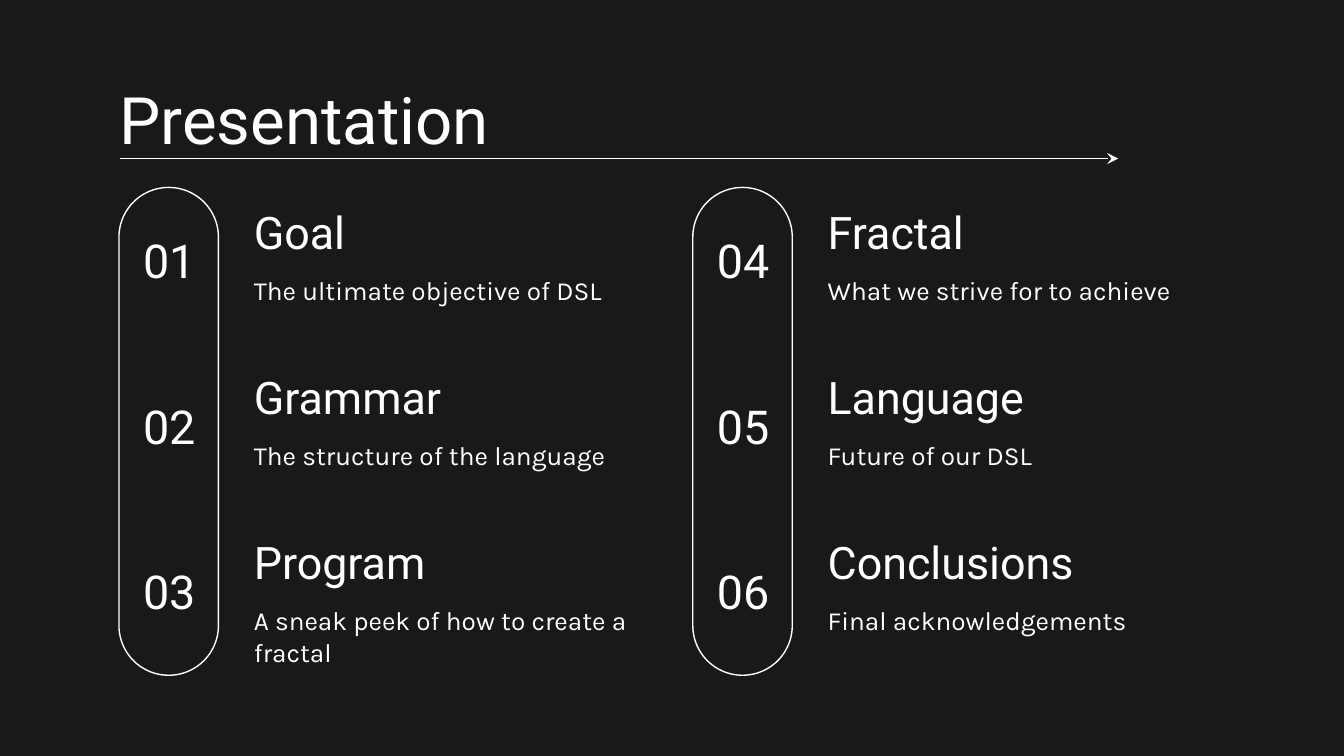
import pptx
import pptx.util
import pptx.dml.color
import pptx.enum.shapes
import pptx.enum.text
import pptx.oxml.ns
import lxml.etree

Inches = pptx.util.Inches
Align = pptx.enum.text.PP_ALIGN
Anchor = pptx.enum.text.MSO_ANCHOR
WHITE = "FFFFFF"
BACKGROUND = "191919"
LEFT, COLUMN = 0.79, 4.27
TOP, ROW = 1.39, 1.23
PILL_LENGTH, PILL_WIDTH = 3.63, 0.74


def paint(color_format, hex_color):
    color_format.rgb = pptx.dml.color.RGBColor.from_string(hex_color)


def write(left, top, width, height, words, size, font, anchor=Anchor.TOP, align=Align.LEFT):
    box = slide.shapes.add_textbox(Inches(left), Inches(top), Inches(width), Inches(height))
    frame = box.text_frame
    frame.word_wrap = True
    frame.vertical_anchor = anchor
    frame.margin_left = frame.margin_right = Inches(0.1)
    frame.margin_top = frame.margin_bottom = Inches(0.1)
    paragraph = frame.paragraphs[0]
    paragraph.alignment = align
    run = paragraph.add_run()
    run.text = words
    run.font.size = pptx.util.Pt(size)
    run.font.name = font
    paint(run.font.color, WHITE)


deck = pptx.Presentation()
deck.slide_width = Inches(10)
deck.slide_height = deck.slide_width * 9 // 16
slide = deck.slides.add_slide(deck.slide_layouts[6])
slide.background.fill.solid()
paint(slide.background.fill.fore_color, BACKGROUND)

title_rule = slide.shapes.add_connector(
    pptx.enum.shapes.MSO_CONNECTOR.STRAIGHT, Inches(0.89), Inches(1.18), Inches(8.32), Inches(1.18)
)
title_rule.line.width = pptx.util.Pt(0.75)
paint(title_rule.line.color, WHITE)
rule_properties = title_rule._element.spPr
rule_line = rule_properties.find(pptx.oxml.ns.qn("a:ln"))
lxml.etree.SubElement(rule_line, pptx.oxml.ns.qn("a:tailEnd"), type="stealth")
lxml.etree.SubElement(rule_properties, pptx.oxml.ns.qn("a:effectLst"))

write(LEFT, 0.49, 8.43, 0.63, "Presentation", 35, "Roboto")

agenda = [
    [
        ("Goal", "The ultimate objective of DSL"),
        ("Grammar", "The structure of the language"),
        ("Program", "A sneak peek of how to create a fractal"),
    ],
    [
        ("Fractal", "What we strive for to achieve"),
        ("Language", "Future of our DSL"),
        ("Conclusions", "Final acknowledgements"),
    ],
]
summary_heights = [0.53, 0.53, 0.63]

for column, topics in enumerate(agenda):
    left = LEFT + column * COLUMN
    pill = slide.shapes.add_shape(
        pptx.enum.shapes.MSO_SHAPE.ROUNDED_RECTANGLE,
        Inches(left - 1.35), Inches(2.84), Inches(PILL_LENGTH), Inches(PILL_WIDTH),
    )
    pill.rotation = 90
    pill.adjustments[0] = 0.5
    pill.shadow.inherit = False
    pill.fill.background()
    pill.line.width = pptx.util.Pt(0.75)
    paint(pill.line.color, WHITE)

    for row, (heading, summary) in enumerate(topics):
        top = TOP + row * ROW
        number = f"{column * len(topics) + row + 1:02d}"
        write(left + 0.14, top + 0.22, 0.66, 0.65, number, 25, "Roboto", Anchor.MIDDLE, Align.CENTER)
        write(left + 1, top, 3.15, 0.63, heading, 24, "Roboto", Anchor.BOTTOM)
        write(left + 1, top + 0.55, 3.15, summary_heights[row], summary, 14, "Karla")

deck.save("out.pptx")
